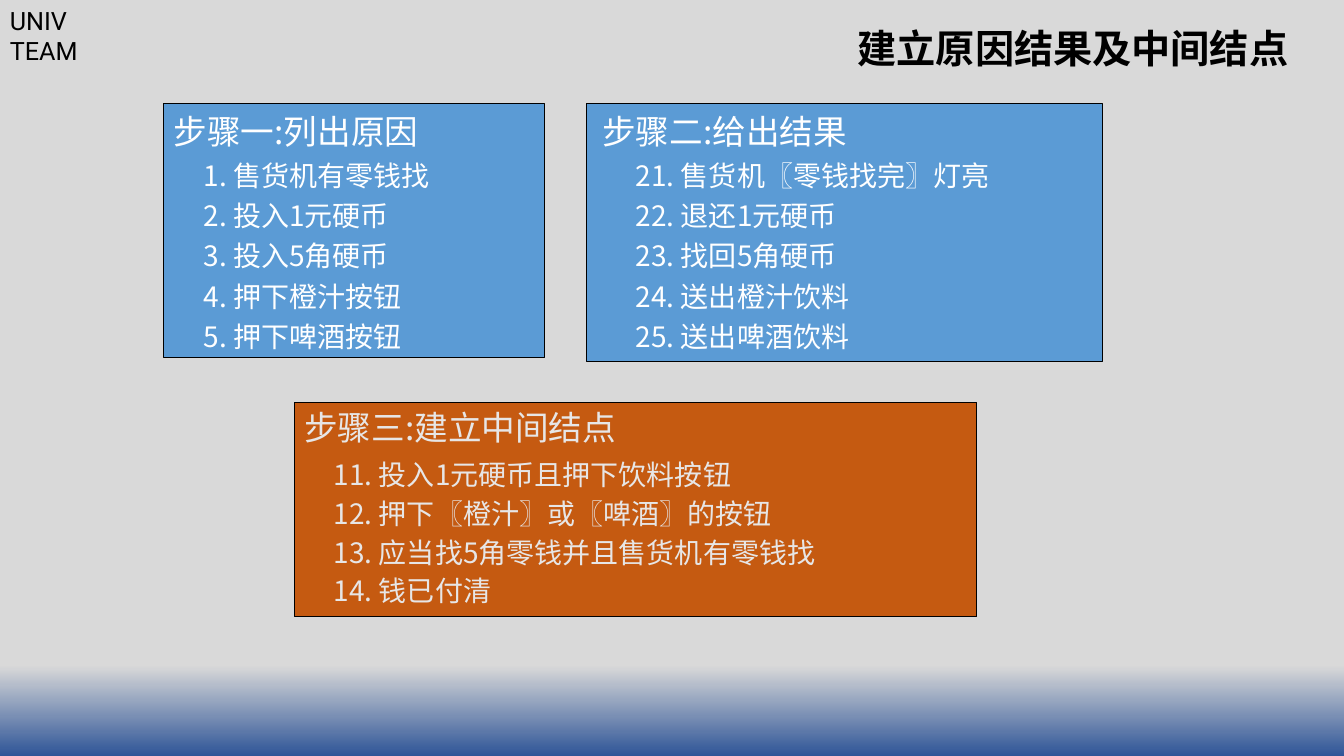
import pptx
import pptx.util
import pptx.dml.color
import pptx.enum.shapes
import pptx.enum.text
import pptx.oxml.ns
import lxml.etree

Pt = pptx.util.Pt
RGBColor = pptx.dml.color.RGBColor
ALIGN = pptx.enum.text.PP_ALIGN
ANCHOR = pptx.enum.text.MSO_ANCHOR

BLACK = RGBColor(0x00, 0x00, 0x00)
WHITE = RGBColor(0xFF, 0xFF, 0xFF)
PALE_GREY = RGBColor(0xE7, 0xE6, 0xE6)
GREY = RGBColor(0xD9, 0xD9, 0xD9)
NAVY = RGBColor(0x2F, 0x55, 0x97)
BLUE = RGBColor(0x5B, 0x9B, 0xD5)
ORANGE = RGBColor(0xC5, 0x5A, 0x11)
CJK_FONT = "Noto Sans CJK SC"


def write(para, text, size=20, color=BLACK, font=CJK_FONT, bold=False,
          align=ALIGN.LEFT, spacing=None, before=0, level=0,
          margin=0, indent=0, numbered=False):
    """Put one formatted run into a paragraph."""
    para.alignment = align
    para.level = level
    para.space_before = Pt(before)
    if spacing:
        para.line_spacing = spacing
    properties = para._p.get_or_add_pPr()
    properties.set("marL", str(Pt(margin)))
    properties.set("indent", str(Pt(indent)))
    if numbered:
        lxml.etree.SubElement(properties, pptx.oxml.ns.qn("a:buAutoNum"),
                              type="arabicPeriod")
    span = para.add_run()
    span.text = text
    span.font.size = Pt(size)
    span.font.bold = bold
    span.font.color.rgb = color
    span.font.name = font
    lxml.etree.SubElement(span._r.get_or_add_rPr(), pptx.oxml.ns.qn("a:ea"),
                          typeface=font)


def paint_background(page):
    fill = page.background.fill
    fill.gradient()
    fill.gradient_angle = 270
    for stop, position, color in zip(fill.gradient_stops, (0.88, 1), (GREY, NAVY)):
        stop.position = position
        stop.color.rgb = color


def add_group_name(page, box, text):
    label = page.shapes.add_textbox(*map(Pt, box))
    label.text_frame.word_wrap = True
    write(label.text_frame.paragraphs[0], text, size=18, font="Roboto")


def set_title(page, box, text):
    title = page.shapes.title
    title.left, title.top, title.width, title.height = map(Pt, box)
    frame = title.text_frame
    frame.auto_size = pptx.enum.text.MSO_AUTO_SIZE.NONE
    frame.vertical_anchor = ANCHOR.MIDDLE
    write(frame.paragraphs[0], text, size=28, bold=True,
          align=ALIGN.RIGHT, spacing=0.9)


def add_step(page, box, heading, items, fill, color, heading_margin=0,
             heading_pitch=30.5, item_pitch=28.8, first_gap=0, **item_format):
    """Draw a filled panel with a heading and its list."""
    panel = page.shapes.add_shape(pptx.enum.shapes.MSO_SHAPE.RECTANGLE,
                                  *map(Pt, box))
    panel.shadow.inherit = False
    panel.fill.solid()
    panel.fill.fore_color.rgb = fill
    panel.line.color.rgb = BLACK
    panel.line.width = Pt(0.75)
    frame = panel.text_frame
    frame.word_wrap = True
    frame.vertical_anchor = ANCHOR.TOP
    write(frame.paragraphs[0], heading, size=24, color=color,
          margin=heading_margin, spacing=Pt(heading_pitch))
    for index, item in enumerate(items):
        write(frame.add_paragraph(), item, color=color, level=1,
              spacing=Pt(item_pitch), before=0 if index else first_gap,
              **item_format)


def build_steps_page(deck):
    page = deck.slides.add_slide(deck.slide_layouts[5])
    paint_background(page)
    add_group_name(page, (0, 0, 80, 51), "UNIV TEAM")
    set_title(page, (80, 10.8, 847.4, 51), "建立原因结果及中间结点")

    # Intermediate nodes
    add_step(page, (210.3, 287.2, 487.5, 153.4), "步骤三:建立中间结点".replace(":", ":"),
             ["11. 投入1元硬币且押下饮料按钮",
              "12. 押下〖橙汁〗或〖啤酒〗的按钮",
              "13. 应当找5角零钱并且售货机有零钱找",
              "14. 钱已付清"],
             ORANGE, PALE_GREY, heading_pitch=28.6, item_pitch=27.6,
             first_gap=4, margin=21)

    # Results
    add_step(page, (419, 74.2, 368.6, 184.3), "步骤二:给出结果".replace(":", ":"),
             ["21. 售货机〖零钱找完〗灯亮",
              "22. 退还1元硬币",
              "23. 找回5角硬币",
              "24. 送出橙汁饮料",
              "25. 送出啤酒饮料"],
             BLUE, WHITE, heading_margin=4.2, margin=28)

    # Causes
    add_step(page, (117, 74.2, 272.2, 181.4), "步骤一:列出原因".replace(":", ":"),
             ["售货机有零钱找", "投入1元硬币", "投入5角硬币",
              "押下橙汁按钮", "押下啤酒按钮"],
             BLUE, WHITE, margin=42.5, indent=-21, numbered=True)


deck = pptx.Presentation()
deck.slide_width, deck.slide_height = Pt(960), Pt(540)
build_steps_page(deck)
deck.save("out.pptx")
